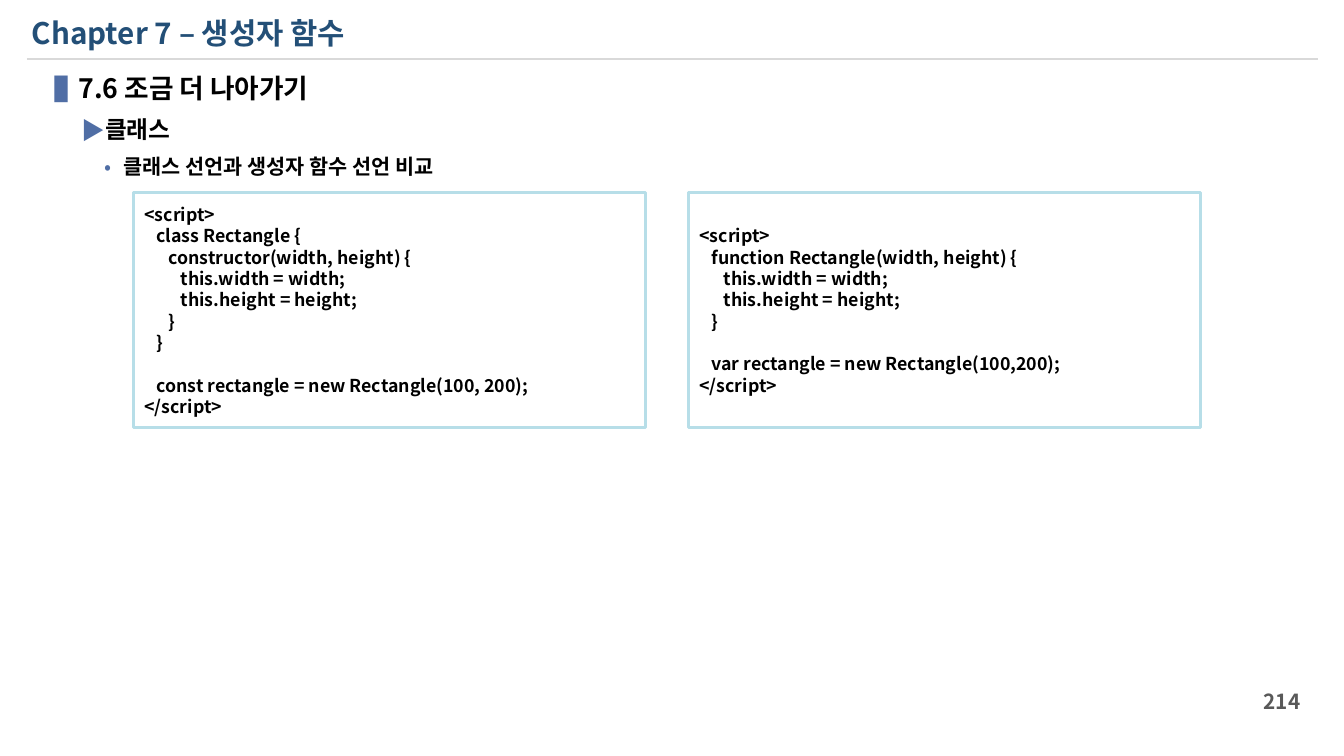
from dataclasses import dataclass

from lxml import etree
from pptx import Presentation
from pptx.dml.color import RGBColor
from pptx.enum.shapes import MSO_CONNECTOR as Connector, MSO_SHAPE as Shape
from pptx.enum.text import MSO_ANCHOR as Anchor, MSO_AUTO_SIZE as AutoSize, PP_ALIGN as Align
from pptx.oxml.ns import qn
from pptx.util import Emu, Pt


@dataclass(frozen=True)
class Theme:
    font: str = "Noto Sans CJK KR"
    title: str = "234F77"
    text: str = "000000"
    bullet: str = "506EA5"
    number: str = "595959"
    rule: str = "D9D9D9"
    code_border: str = "B7DEE8"
    title_size: int = 20
    outline_sizes: tuple = (18, 16, 14)
    number_size: int = 14
    code_size: int = 12
    line_height: float = 1.2


theme = Theme()
PX = 8572.5  # EMU in one px


def box(*lengths):
    return [Emu(round(length * PX)) for length in lengths]


def add_text(paragraph, text, size, color):
    paragraph.line_spacing = Pt(size * theme.line_height)
    if not text:
        return
    run = paragraph.add_run()
    run.text = text
    run.font.name = theme.font
    run.font.size = Pt(size)
    run.font.bold = True
    run.font.color.rgb = RGBColor.from_string(color)
    etree.SubElement(run.font._element, qn("a:ea"), typeface=theme.font)


presentation = Presentation()
presentation.slide_width, presentation.slide_height = box(1344, 756)
slide = presentation.slides.add_slide(presentation.slide_layouts[5])

# Title and the rule under it
title = slide.shapes.title
title.left, title.top, title.width, title.height = box(21, 9, 1265, 47)
title.text_frame.auto_size = AutoSize.NONE
title.text_frame.vertical_anchor = Anchor.MIDDLE
title.text_frame.paragraphs[0].alignment = Align.LEFT
add_text(title.text_frame.paragraphs[0], "Chapter 7 – 생성자 함수", theme.title_size, theme.title)

rule = slide.shapes.add_connector(Connector.STRAIGHT, *box(27, 59, 1318, 59))
rule.line.color.rgb = RGBColor.from_string(theme.rule)
rule.line.width = Pt(1.5)
etree.SubElement(rule._element.spPr, qn("a:effectLst"))

# Outline: bullet, text, left margin and hanging indent in px
outline = [
    ("▐", "7.6 조금 더 나아가기", 37, 37),
    ("▶", "클래스", 62, 22),
    ("•", "클래스 선언과 생성자 함수 선언 비교", 82, 19),
]
outline_frame = slide.shapes.add_textbox(*box(31, 67, 1281, 120)).text_frame
outline_frame.word_wrap = True
for level, (bullet, text, margin, hanging) in enumerate(outline):
    paragraph = outline_frame.paragraphs[0] if level == 0 else outline_frame.add_paragraph()
    paragraph.level = level
    add_text(paragraph, text, theme.outline_sizes[level], theme.text)
    if level:
        paragraph.space_before = Pt(7)
    properties = paragraph._p.get_or_add_pPr()
    margin_emu, indent_emu = box(margin, -hanging)
    properties.set("marL", str(margin_emu))
    properties.set("indent", str(indent_emu))
    bullet_color = etree.SubElement(properties, qn("a:buClr"))
    etree.SubElement(bullet_color, qn("a:srgbClr"), val=theme.bullet)
    etree.SubElement(properties, qn("a:buFont"), typeface=theme.font)
    etree.SubElement(properties, qn("a:buChar"), char=bullet)

# Code boxes side by side
class_code = """<script>
   class Rectangle {
      constructor(width, height) {
         this.width = width;
         this.height = height;
      }
   }

   const rectangle = new Rectangle(100, 200);
</script>"""
function_code = """<script>
   function Rectangle(width, height) {
      this.width = width;
      this.height = height;
   }

   var rectangle = new Rectangle(100,200);
</script>"""
for column, code in enumerate((class_code, function_code)):
    code_box = slide.shapes.add_shape(Shape.RECTANGLE, *box(134 + 555 * column, 193, 512, 235))
    code_box.shadow.inherit = False
    code_box.fill.background()
    code_box.line.color.rgb = RGBColor.from_string(theme.code_border)
    code_box.line.width = Pt(2)
    code_frame = code_box.text_frame
    code_frame.word_wrap = True
    code_frame.vertical_anchor = Anchor.MIDDLE
    for index, line in enumerate(code.split("\n")):
        paragraph = code_frame.add_paragraph() if index else code_frame.paragraphs[0]
        paragraph.alignment = Align.LEFT
        add_text(paragraph, line, theme.code_size, theme.text)

# Page number
number_frame = slide.shapes.add_textbox(*box(1211, 681, 100, 41)).text_frame
number_frame.word_wrap = True
number_frame.vertical_anchor = Anchor.MIDDLE
number_frame.paragraphs[0].alignment = Align.RIGHT
add_text(number_frame.paragraphs[0], "214", theme.number_size, theme.number)

presentation.save("out.pptx")
